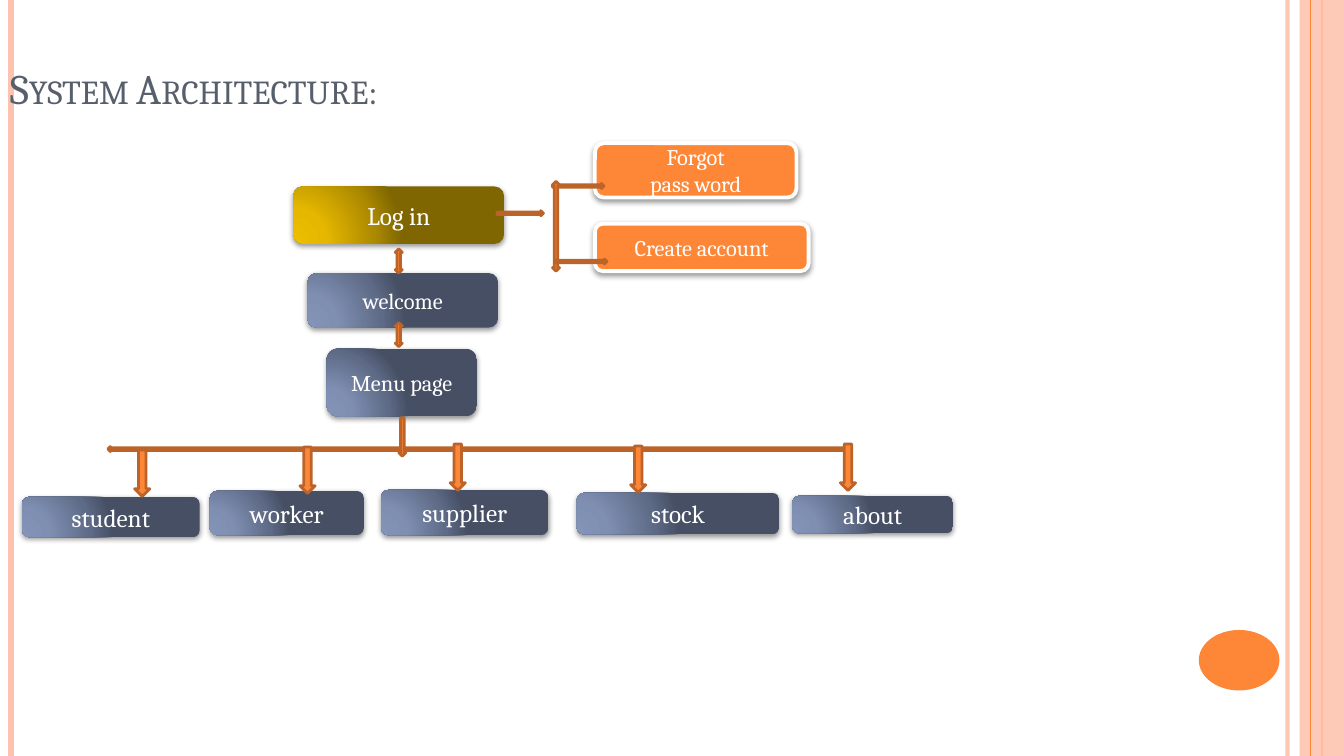
from lxml import etree
from pptx import Presentation
from pptx.dml.color import RGBColor
from pptx.enum.shapes import MSO_CONNECTOR, MSO_SHAPE
from pptx.enum.text import MSO_ANCHOR, PP_ALIGN
from pptx.oxml import parse_xml
from pptx.oxml.ns import nsdecls, qn
from pptx.util import Emu, Pt

PX = 9144  # 100 px to the inch
WIDTH, HEIGHT = 1333, 750
FONT = "Cambria"
ORANGE, BROWN, PEACH, WHITE, SLATE = "FE8637", "BC6329", "FEC3AE", "FFFFFF", "575F6D"
GOLD = ["EDBE00", "E5B700", "AC8900", "7F6600"]
BLUE = ["8494B9", "7F8FB2", "5E6B87", "464F64"]
STOPS = [0, 30, 75, 100]

# left, top, width, height, text, size, gradient
PAGES = [
    (291, 185, 209, 57, "Log in", 18, GOLD),
    (324, 346, 149, 67, "Menu page", 16, BLUE),
    (305, 271, 189, 54, "welcome", 16, BLUE),
    (786, 492, 159, 37, "about", 18, BLUE),
    (22, 493, 176, 40, "student", 18, BLUE),
    (208, 487, 153, 44, "worker", 18, BLUE),
    (378, 486, 166, 45, "supplier", 18, BLUE),
    (572, 489, 201, 41, "stock", 18, BLUE),
]
LOGIN_OPTIONS = [
    (590, 222, 212, 47, "Create account"),
    (590, 142, 200, 54, "Forgot\npass word"),
]
# left and top of each arrow down to a menu entry, before its quarter turn
DROPS = [(118, 462), (282, 459), (431, 456), (610, 458), (818, 456)]


def px(*lengths):
    return [Emu(n * PX) for n in lengths]


def rgb(hex_color):
    return RGBColor.from_string(hex_color)


def set_alpha(fill, percent):
    clr = fill._xPr.find(".//" + qn("a:srgbClr"))
    etree.SubElement(clr, qn("a:alpha")).set("val", str(percent * 1000))


def add_block(s, kind, box, fill=None, line=None, line_width=0):
    sp = s.shapes.add_shape(kind, *px(*box))
    sp.shadow.inherit = False
    if fill:
        sp.fill.solid()
        sp.fill.fore_color.rgb = rgb(fill)
    if line:
        sp.line.color.rgb = rgb(line)
        sp.line.width = Pt(line_width)
    else:
        sp.line.fill.background()
    return sp


def add_rule(s, x, color, width, alpha=100):
    ln = s.shapes.add_connector(MSO_CONNECTOR.STRAIGHT, *px(x, 0, x, HEIGHT))
    ln.line.color.rgb = rgb(color)
    ln.line.width = Pt(width)
    if alpha < 100:
        set_alpha(ln.line.fill, alpha)
    etree.SubElement(ln._element.spPr, qn("a:effectLst"))


def add_gradient(sp, colors):
    stops = "".join(
        f'<a:gs pos="{pos * 1000}"><a:srgbClr val="{color}"/></a:gs>'
        for pos, color in zip(STOPS, colors))
    sp._element.spPr.find(qn("a:prstGeom")).addnext(parse_xml(
        f'<a:gradFill {nsdecls("a")} rotWithShape="1"><a:gsLst>{stops}</a:gsLst>'
        '<a:path path="circle"><a:fillToRect l="5000" t="100000" r="120000" b="10000"/>'
        '</a:path></a:gradFill>'))


def add_shadow(sp, alpha, distance):
    effects = sp._element.spPr.find(qn("a:effectLst"))
    effects.append(parse_xml(
        f'<a:outerShdw {nsdecls("a")} blurRad="{Pt(4)}" dist="{Pt(distance)}" '
        'dir="5400000" rotWithShape="0"><a:srgbClr val="000000">'
        f'<a:alpha val="{alpha * 1000}"/></a:srgbClr></a:outerShdw>'))


def write(sp, text, size, color, align, anchor):
    tf = sp.text_frame
    tf.word_wrap = True
    tf.vertical_anchor = anchor
    tf.text = text
    for p in tf.paragraphs:
        p.alignment = align
        for r in p.runs:
            r.font.name = FONT
            r.font.size = Pt(size)
            r.font.color.rgb = rgb(color)


def add_page(s, left, top, width, height, text, size, colors):
    sp = add_block(s, MSO_SHAPE.ROUNDED_RECTANGLE, (left, top, width, height))
    add_gradient(sp, colors)
    add_shadow(sp, 42, 1.6)
    write(sp, text, size, WHITE, PP_ALIGN.CENTER, MSO_ANCHOR.MIDDLE)


def add_option(s, left, top, width, height, text):
    sp = add_block(s, MSO_SHAPE.ROUNDED_RECTANGLE, (left, top, width, height),
                   ORANGE, WHITE, 2.75)
    add_shadow(sp, 40, 2)
    write(sp, text, 16, WHITE, PP_ALIGN.CENTER, MSO_ANCHOR.MIDDLE)


def add_arrow(s, kind, box, rotation=0):
    sp = add_block(s, kind, box, ORANGE, BROWN, 2)
    sp.rotation = rotation


def add_title(s, text):
    sp = s.shapes.add_textbox(*px(0, 30, 1089, 87))
    write(sp, text, 30, SLATE, PP_ALIGN.LEFT, MSO_ANCHOR.BOTTOM)
    sp.text_frame.paragraphs[0].runs[0].font._element.set("cap", "small")


def main():
    prs = Presentation()
    prs.slide_width, prs.slide_height = px(WIDTH, HEIGHT)
    s = prs.slides.add_slide(prs.slide_layouts[6])

    # Side decoration
    add_rule(s, 1277, PEACH, 3, 93)
    add_rule(s, 11, PEACH, 4.5)
    add_rule(s, 1311, ORANGE, 1.5)
    band = add_block(s, MSO_SHAPE.RECTANGLE, (1289, 0, 44, HEIGHT), PEACH)
    set_alpha(band.fill, 87)
    add_rule(s, 1300, ORANGE, 0.75)
    add_block(s, MSO_SHAPE.OVAL, (1189, 625, 80, 60), ORANGE)

    add_title(s, "System Architecture:")

    # Pages of the system
    for page in PAGES:
        add_page(s, *page)
    for option in LOGIN_OPTIONS:
        add_option(s, *option)

    # Log in to its options
    add_arrow(s, MSO_SHAPE.RIGHT_ARROW, (493, 209, 46, 5))
    add_arrow(s, MSO_SHAPE.RIGHT_ARROW, (548, 182, 51, 5))
    add_arrow(s, MSO_SHAPE.UP_DOWN_ARROW, (548, 180, 7, 89))
    add_arrow(s, MSO_SHAPE.RIGHT_ARROW, (551, 257, 51, 5))

    # Log in, welcome and menu page
    for top in (247, 320):
        add_arrow(s, MSO_SHAPE.UP_DOWN_ARROW, (392, top, 7, 24))

    # Menu page to its entries
    add_arrow(s, MSO_SHAPE.UP_DOWN_ARROW, (471, 79, 5, 733), 270)
    add_arrow(s, MSO_SHAPE.RIGHT_ARROW, (380, 430, 38, 7), 90)
    for left, top in DROPS:
        add_arrow(s, MSO_SHAPE.RIGHT_ARROW, (left, top, 46, 15), 90)

    prs.save("out.pptx")


if __name__ == "__main__":
    main()
